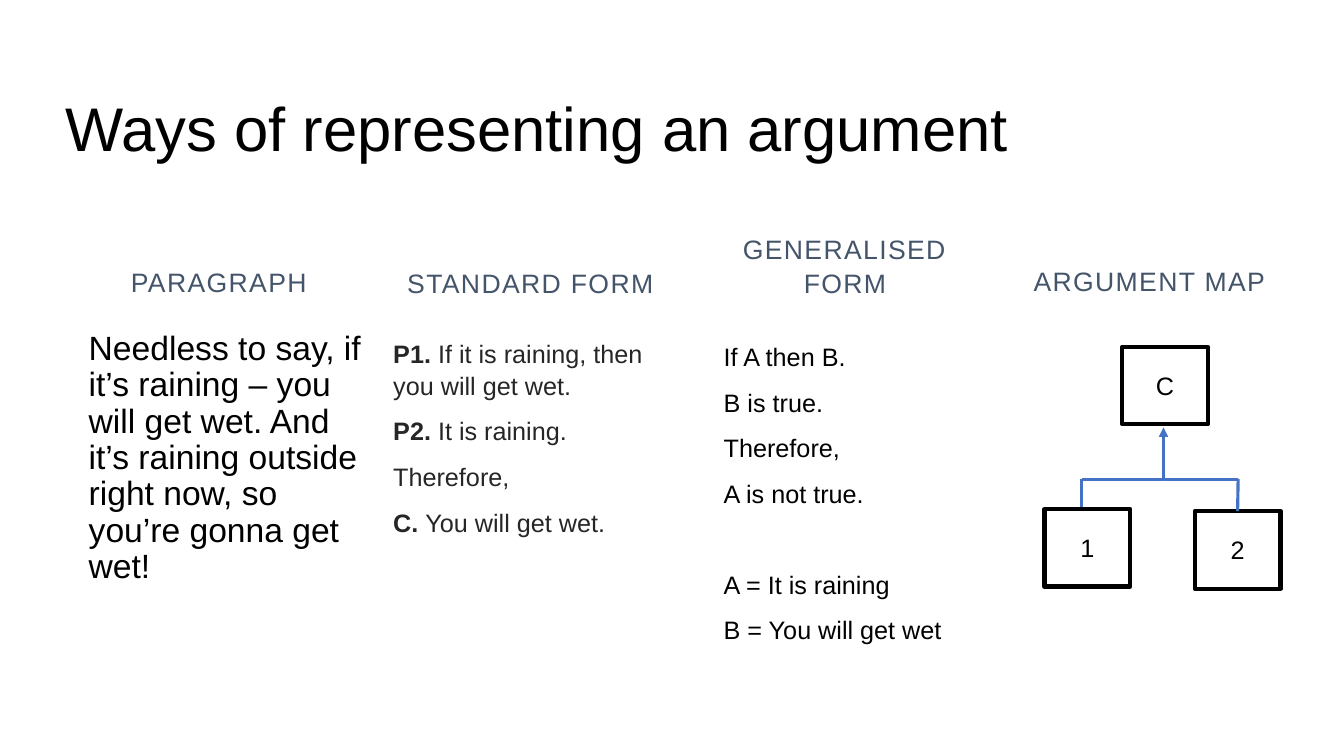
import pptx
import pptx.dml.color
import pptx.enum.shapes
import pptx.enum.text
import pptx.oxml
import pptx.oxml.ns
import pptx.util
from pptx.util import Inches

COLORS = {
    "black": "000000",
    "heading": "44546A",
    "soft": "262626",
    "arrow": "4472C4",
}
FONT = "Arial"
CENTER = pptx.enum.text.PP_ALIGN.CENTER
LEFT = pptx.enum.text.PP_ALIGN.LEFT
MIDDLE = pptx.enum.text.MSO_ANCHOR.MIDDLE
BOTTOM = pptx.enum.text.MSO_ANCHOR.BOTTOM
TOP = pptx.enum.text.MSO_ANCHOR.TOP
STRAIGHT = pptx.enum.shapes.MSO_CONNECTOR.STRAIGHT
ELBOW = pptx.enum.shapes.MSO_CONNECTOR.ELBOW
NODE_SIZE = (0.85, 0.77)


def rgb(name):
    return pptx.dml.color.RGBColor.from_string(COLORS[name])


def place(box, left, top, width, height):
    box.left, box.top = Inches(left), Inches(top)
    box.width, box.height = Inches(width), Inches(height)


def add_textbox(slide):
    return slide.shapes.add_textbox(0, 0, Inches(1), Inches(1))


def write(box, paragraphs, size, color, align=LEFT, anchor=TOP,
          spacing=1.0, before=0):
    """Fill a box; each paragraph is a list of (text, bold) spans."""
    frame = box.text_frame
    frame.word_wrap = True
    frame.auto_size = pptx.enum.text.MSO_AUTO_SIZE.NONE
    frame.vertical_anchor = anchor
    for index, spans in enumerate(paragraphs):
        para = frame.add_paragraph() if index else frame.paragraphs[0]
        para.alignment = align
        para.line_spacing = spacing
        para.space_before = pptx.util.Pt(before)
        for text, bold in spans:
            span = para.add_run()
            span.text = text
            span.font.name = FONT
            span.font.size = pptx.util.Pt(size)
            span.font.bold = bold
            span.font.color.rgb = rgb(color)


def plain(*lines):
    return [[(line, False)] for line in lines]


def remove_bullets(box):
    for para in box.text_frame.paragraphs:
        properties = para._p.get_or_add_pPr()
        properties.set("marL", "0")
        properties.set("indent", "0")
        pptx.oxml.ns.qn("a:buNone")
        properties.append(pptx.oxml.parse_xml(
            f'<a:buNone {pptx.oxml.ns.nsdecls("a")}/>'))


def write_heading(box, text, left, top, height, spacing=1.05):
    place(box, left, top, 3.02, height)
    write(box, plain(text), 19, "heading", CENTER, BOTTOM, spacing, 10)
    remove_bullets(box)
    for span in box.text_frame.paragraphs[0].runs:
        span.font._element.set("spc", "100")


def add_node(slide, label, left, top):
    node = slide.shapes.add_shape(
        pptx.enum.shapes.MSO_SHAPE.RECTANGLE,
        Inches(left), Inches(top), *map(Inches, NODE_SIZE))
    node.shadow.inherit = False
    node.fill.background()
    node.line.color.rgb = rgb("black")
    node.line.width = pptx.util.Pt(3)
    write(node, plain(label), 18, "black", CENTER, MIDDLE)
    return node


def add_link(slide, start, end, kind=STRAIGHT):
    link = slide.shapes.add_connector(kind, *map(Inches, start + end))
    link.line.color.rgb = rgb("arrow")
    link.line.width = pptx.util.Pt(2.25)
    link._element.spPr.append(pptx.oxml.parse_xml(
        f'<a:effectLst {pptx.oxml.ns.nsdecls("a")}/>'))
    return link


def add_elbow_arrow(slide, start, end):
    """Run level to the end's column, then up to an arrowhead."""
    arrow = add_link(slide, start, end, ELBOW)
    namespace = pptx.oxml.ns.nsdecls("a")
    geometry = arrow._element.spPr.find(pptx.oxml.ns.qn("a:prstGeom"))
    for child in list(geometry):
        geometry.remove(child)
    geometry.append(pptx.oxml.parse_xml(
        f'<a:avLst {namespace}><a:gd name="adj1" fmla="val 100000"/></a:avLst>'))
    arrow.line._get_or_add_ln().append(pptx.oxml.parse_xml(
        f'<a:tailEnd {namespace} type="triangle"/>'))


def add_argument_map(slide):
    left, middle, right = 10.73, 11.54, 12.28
    bar = 4.76
    add_node(slide, "C", 11.13, 3.44)
    add_elbow_arrow(slide, (left, bar), (middle, 4.24))
    add_link(slide, (left, 4.75), (left, 5.04))
    add_link(slide, (middle, bar), (right, bar))
    add_node(slide, "1", 10.36, 5.05)
    second = add_node(slide, "2", 11.85, 5.07)
    add_link(slide, (right, 4.75), (right, 5.07)).end_connect(second, 0)


def main():
    deck = pptx.Presentation()
    deck.slide_width, deck.slide_height = Inches(13.33), Inches(7.5)
    slide = deck.slides.add_slide(deck.slide_layouts.get_by_name("Comparison"))
    holders = {box.placeholder_format.idx: box for box in slide.placeholders}
    for index in (10, 11, 12):
        if index in holders:
            holders[index]._element.getparent().remove(holders[index]._element)

    title = slide.shapes.title
    place(title, 0.55, 0.58, 10.6, 1.45)
    write(title, plain("Ways of representing an argument"), 44, "black",
          anchor=MIDDLE, spacing=0.9)

    write_heading(holders[1], "PARAGRAPH", 0.66, 2.24, 0.77, 0.9)
    write_heading(holders[3], "STANDARD FORM", 3.75, 2.24, 0.77)
    write_heading(add_textbox(slide), "GENERALISED FORM", 6.87, 2.5, 0.51)
    write_heading(add_textbox(slide), "ARGUMENT MAP", 9.89, 2.47, 0.52)

    prose = holders[2]
    place(prose, 0.78, 3.24, 2.93, 3.37)
    write(prose, plain("Needless to say, if it’s raining – you will get wet. "
                       "And it’s raining outside right now, so you’re gonna "
                       "get wet!"), 24, "black", spacing=0.9, before=10)
    remove_bullets(prose)

    standard = holders[4]
    place(standard, 3.8, 3.29, 2.93, 2.84)
    write(standard, [
        [("P1. ", True), ("If it is raining, then you will get wet.", False)],
        [("P2. ", True), ("It is raining.", False)],
        [("Therefore,", False)],
        [("C. ", True), ("You will get wet.", False)],
    ], 18, "soft", spacing=1.05, before=10)
    remove_bullets(standard)

    general = add_textbox(slide)
    place(general, 7.08, 3.32, 2.93, 3.44)
    write(general, plain("If A then B.", "B is true.", "Therefore,",
                         "A is not true.", "A = It is raining",
                         "B = You will get wet"),
          18, "black", spacing=1.05, before=10)
    general.text_frame.paragraphs[4].space_before = pptx.util.Pt(42)

    add_argument_map(slide)
    deck.save("out.pptx")


if __name__ == "__main__":
    main()
